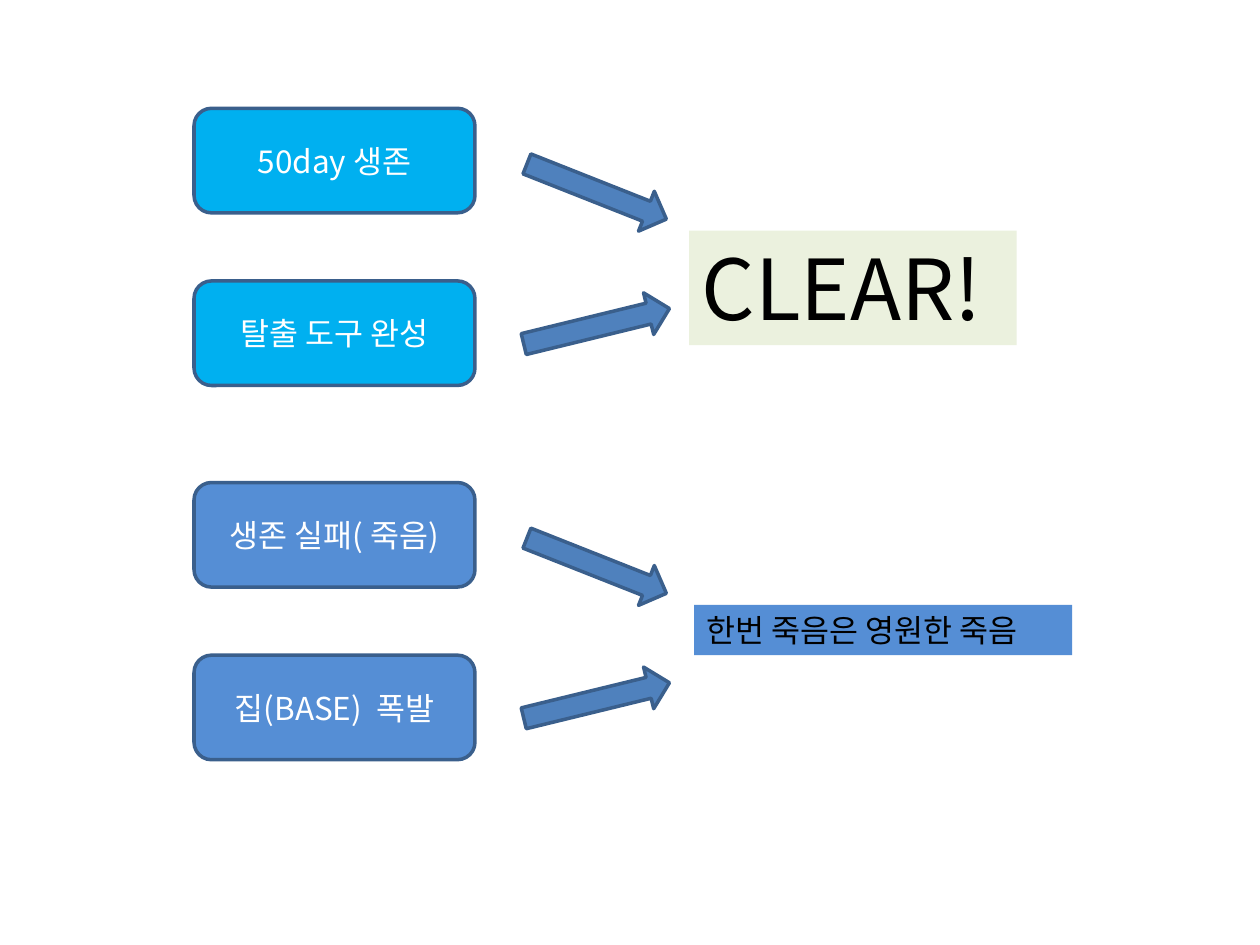
from lxml import etree
from pptx import Presentation
from pptx.dml.color import RGBColor
from pptx.enum.shapes import MSO_SHAPE
from pptx.enum.text import MSO_ANCHOR, MSO_AUTO_SIZE, PP_ALIGN
from pptx.oxml.ns import qn
from pptx.util import Inches, Pt

ROUNDED, ARROW, RECT = (MSO_SHAPE.ROUNDED_RECTANGLE, MSO_SHAPE.RIGHT_ARROW,
                        MSO_SHAPE.RECTANGLE)
CENTER, LEFT = PP_ALIGN.CENTER, PP_ALIGN.LEFT
MIDDLE, TOP = MSO_ANCHOR.MIDDLE, MSO_ANCHOR.TOP
GROW = MSO_AUTO_SIZE.SHAPE_TO_FIT_TEXT

THEME = {
    "font": "Noto Sans CJK KR", "body": 18, "big": 48, "line_width": 2,
    "white": "FFFFFF", "black": "000000", "outline": "3A5F8C",
    "arrow": "4F81BD", "win": "00B0F0", "clear": "EBF1DE", "lose": "558ED5",
}

# Content: the conditions of each ending and its result
ENDINGS = [
    {"top": 0.86, "conditions": ["50day 생존", "탈출 도구 완성"], "fill": "win",
     "result": "CLEAR!", "box": (5.47, 1.83, 2.6, 0.91),
     "result_fill": "clear", "result_size": "big"},
    {"top": 3.83, "conditions": ["생존 실패( 죽음)", "집(BASE)  폭발"], "fill": "lose",
     "result": "한번 죽음은 영원한 죽음", "box": (5.51, 4.8, 3, 0.4),
     "result_fill": "lose", "result_size": "body"},
]

# Layout, in inches
CONDITION_LEFT, CONDITION_W, CONDITION_H, CONDITION_STEP = 1.54, 2.23, 0.83, 1.37
ARROW_LEFT, ARROW_W, ARROW_H = 4.14, 1.19, 0.34
ARROWS = [(0.49, 21.6), (1.56, 346.3)]  # offset from the ending's top, rotation


def color(name):
    return RGBColor.from_string(THEME[name])


def add_box(group, kind, box, fill, outlined=True):
    sp = group.shapes.add_shape(kind, *map(Inches, box))
    sp.shadow.inherit = False
    sp.fill.solid()
    sp.fill.fore_color.rgb = color(fill)
    if outlined:
        sp.line.color.rgb = color("outline")
        sp.line.width = Pt(THEME["line_width"])
    else:
        sp.line.fill.background()
    return sp


def set_text(sp, text, size, text_color, align, anchor):
    tf = sp.text_frame
    tf.word_wrap = True
    tf.vertical_anchor = anchor
    p = tf.paragraphs[0]
    p.text = text
    p.alignment = align
    r = p.runs[0]
    r.font.size = Pt(THEME[size])
    r.font.color.rgb = color(text_color)
    r.font.name = THEME["font"]
    # Korean glyphs take the East Asian typeface
    etree.SubElement(r.font._element, qn("a:ea"), typeface=THEME["font"])


def add_ending(slide, ending):
    group = slide.shapes.add_group_shape()
    # Conditions
    for i, text in enumerate(ending["conditions"]):
        box = (CONDITION_LEFT, ending["top"] + i * CONDITION_STEP,
               CONDITION_W, CONDITION_H)
        sp = add_box(group, ROUNDED, box, ending["fill"])
        set_text(sp, text, "body", "white", CENTER, MIDDLE)
    # Arrows towards the result
    for offset, rotation in ARROWS:
        box = (ARROW_LEFT, ending["top"] + offset, ARROW_W, ARROW_H)
        add_box(group, ARROW, box, "arrow").rotation = rotation
    # Result
    sp = add_box(group, RECT, ending["box"], ending["result_fill"], outlined=False)
    set_text(sp, ending["result"], ending["result_size"], "black", LEFT, TOP)
    sp.text_frame.auto_size = GROW


def main():
    prs = Presentation()
    prs.slide_width, prs.slide_height = Inches(10), Inches(7.5)
    s = prs.slides.add_slide(prs.slide_layouts[6])
    for ending in ENDINGS:
        add_ending(s, ending)
    prs.save("out.pptx")


if __name__ == "__main__":
    main()
